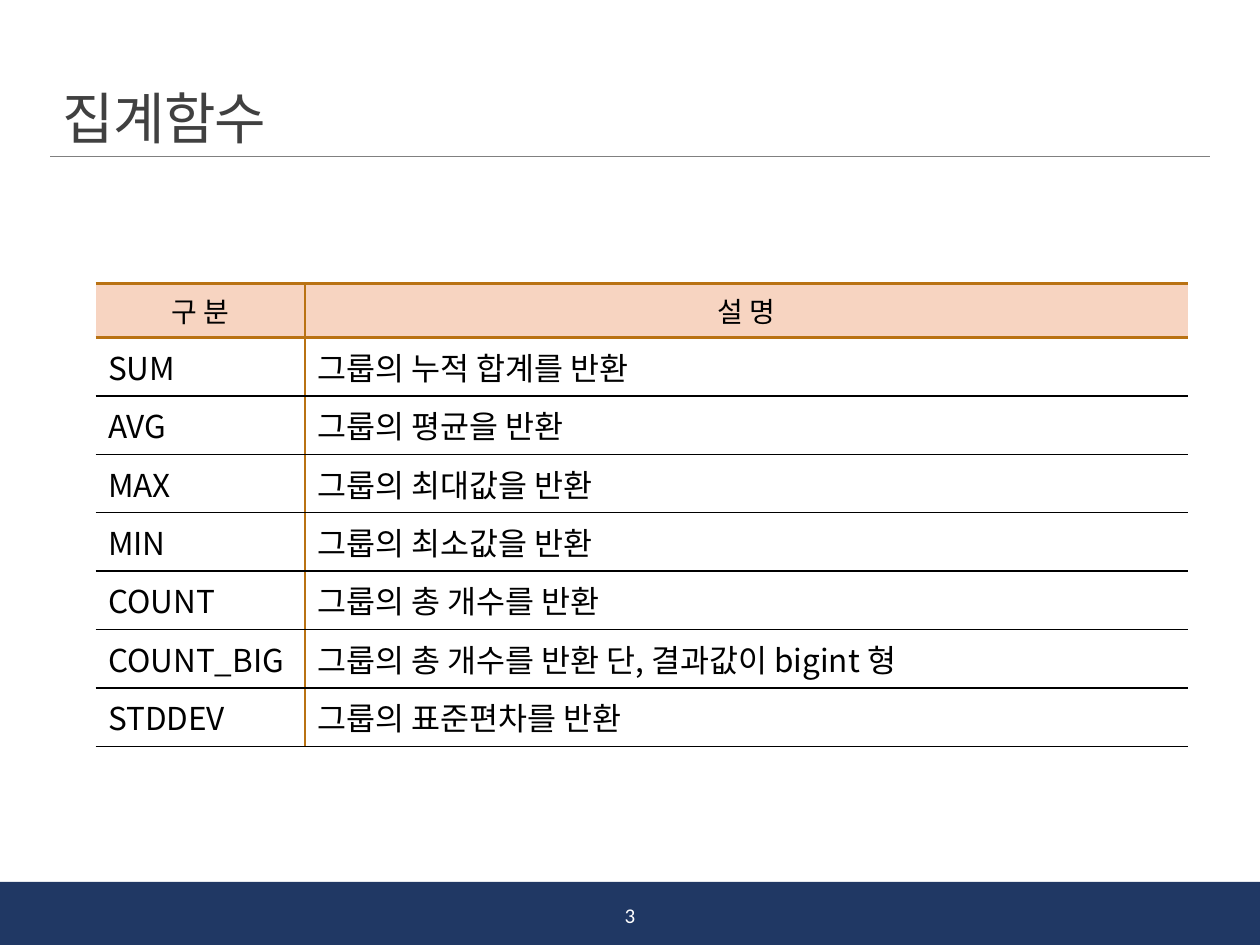
from pptx import Presentation
from pptx.dml.color import RGBColor
from pptx.enum import shapes, text
from pptx.oxml import ns
from pptx.util import Pt
from lxml import etree

COLORS = {"navy": "203864", "rule": "808080", "title": "404040", "black": "000000",
          "white": "FFFFFF", "header": "F7D4C1", "border": "B97213"}
CJK = "Noto Sans CJK KR"
ROWS = [("구 분", "설 명"),
        ("SUM", "그룹의 누적 합계를 반환"),
        ("AVG", "그룹의 평균을 반환"),
        ("MAX", "그룹의 최대값을 반환"),
        ("MIN", "그룹의 최소값을 반환"),
        ("COUNT", "그룹의 총 개수를 반환"),
        ("COUNT_BIG", "그룹의 총 개수를 반환 단, 결과값이 bigint 형"),
        ("STDDEV", "그룹의 표준편차를 반환")]


def write(tf, words, size, color, font, align):
    p = tf.paragraphs[0]
    p.alignment = align
    r = p.add_run()
    r.text = words
    for name, value in {"size": Pt(size), "name": font}.items():
        setattr(r.font, name, value)
    r.font.color.rgb = RGBColor.from_string(COLORS[color])
    etree.SubElement(r.font._element, ns.qn("a:ea"), typeface=CJK)
    return p


def border(cell, side, color, width):
    ln = etree.SubElement(cell._tc.get_or_add_tcPr(), ns.qn("a:ln" + side))
    if color is None:
        etree.SubElement(ln, ns.qn("a:noFill"))
        return
    ln.set("w", str(Pt(width)))
    fill = etree.SubElement(ln, ns.qn("a:solidFill"))
    etree.SubElement(fill, ns.qn("a:srgbClr"), val=COLORS[color])


prs = Presentation()
prs.slide_width, prs.slide_height = Pt(720), Pt(540)
s = prs.slides.add_slide(prs.slide_layouts[6])

bar = s.shapes.add_shape(shapes.MSO_SHAPE.RECTANGLE, Pt(0), Pt(504), Pt(720), Pt(36))
bar.shadow.inherit = False
bar.fill.solid()
bar.fill.fore_color.rgb = RGBColor.from_string(COLORS["navy"])
bar.line.fill.background()

rule = s.shapes.add_connector(shapes.MSO_CONNECTOR.STRAIGHT, Pt(28.8), Pt(89.3), Pt(691.2), Pt(89.3))
rule.line.color.rgb = RGBColor.from_string(COLORS["rule"])
rule.line.width = Pt(0.5)
etree.SubElement(rule._element.spPr, ns.qn("a:effectLst"))

LEFT, CENTER = text.PP_ALIGN.LEFT, text.PP_ALIGN.CENTER
labels = [
    ((28.8, 30.2, 662.4, 59.8), "집계함수", 32, "title", LEFT, text.MSO_ANCHOR.BOTTOM, 0.85, -50),
    ((321.1, 508.3, 77.8, 28.8), "3", 12, "white", CENTER, text.MSO_ANCHOR.MIDDLE, 1.0, 0),
]
for box, words, size, color, align, anchor, spacing, tracking in labels:
    sp = s.shapes.add_textbox(*map(Pt, box))
    tf = sp.text_frame
    for name, value in {"word_wrap": True, "vertical_anchor": anchor}.items():
        setattr(tf, name, value)
    p = write(tf, words, size, color, "Calibri", align)
    p.line_spacing = spacing
    p.runs[0].font._element.set("spc", str(tracking))

HEADER_H, ROW_H = 30.8, 33.4
body_rows = len(ROWS) - 1
frame = s.shapes.add_table(len(ROWS), 2, Pt(54.6), Pt(162), Pt(624.4), Pt(HEADER_H + ROW_H * body_rows))
table = frame.table
for name in ("first_row", "horz_banding"):
    setattr(table, name, False)
for col, width in zip(table.columns, (119.7, 504.7)):
    col.width = Pt(width)

accent, thin, none = ("border", 1.5), ("black", 1), (None, 0)
for i, row in enumerate(ROWS):
    header = i == 0
    table.rows[i].height = Pt(HEADER_H if header else ROW_H)
    for j, words in enumerate(row):
        cell = table.cell(i, j)
        edges = {"L": accent if j else none,
                 "R": none if j else accent,
                 "T": accent if i < 2 else thin,
                 "B": accent if header else thin}
        for side, (color, width) in edges.items():
            border(cell, side, color, width)
        if header:
            cell.fill.solid()
            cell.fill.fore_color.rgb = RGBColor.from_string(COLORS["header"])
        else:
            cell.fill.background()
        write(cell.text_frame, words, 16 if header else 18, "black", CJK, CENTER if header else LEFT)

prs.save("out.pptx")
